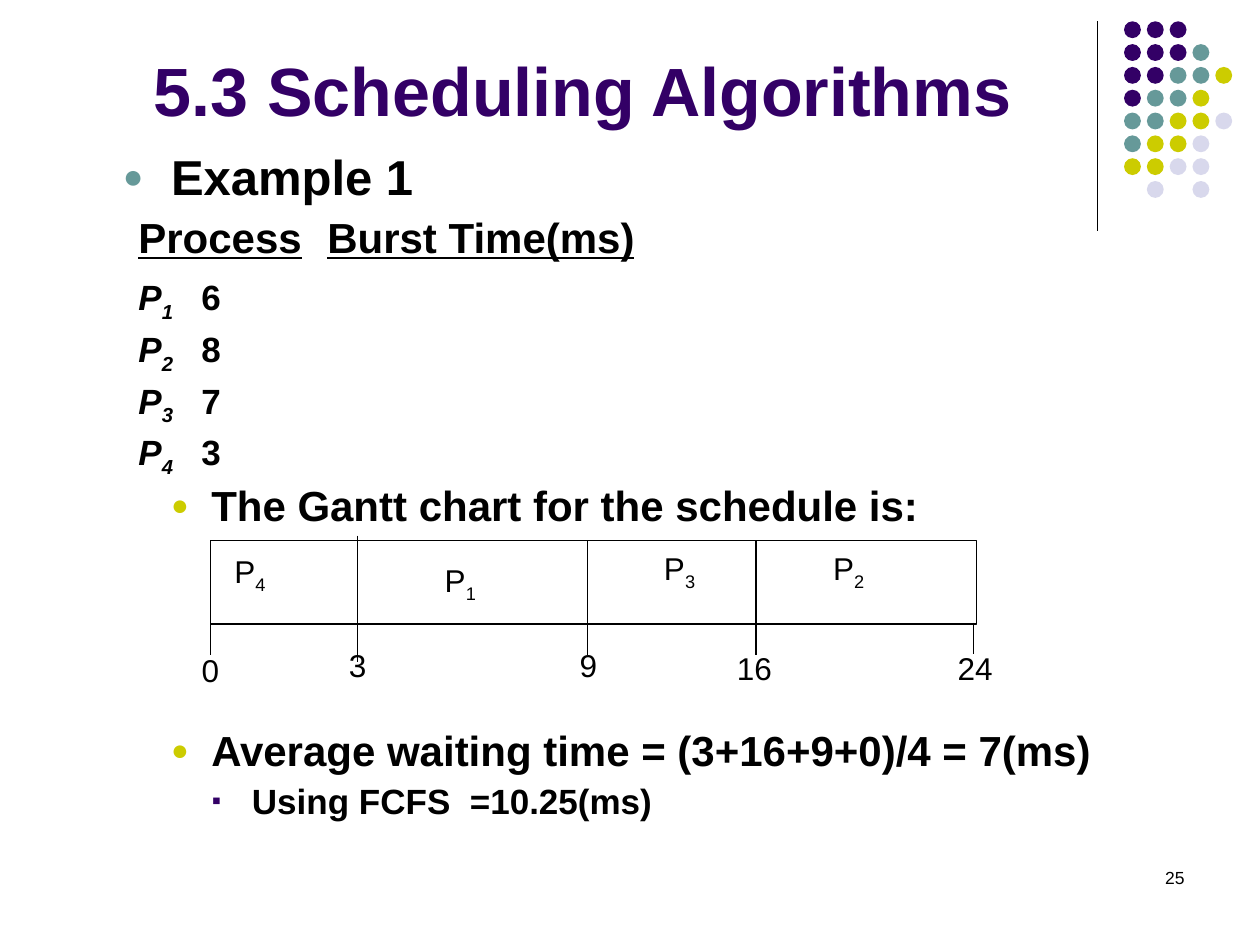
from lxml import etree
from pptx import Presentation
from pptx import util as u
from pptx.dml.color import RGBColor
from pptx.enum import shapes, text
from pptx.oxml.ns import qn

BLACK = RGBColor(0x00, 0x00, 0x00)
WHITE = RGBColor(0xFF, 0xFF, 0xFF)
PURPLE = RGBColor(0x33, 0x00, 0x66)
TEAL = RGBColor(0x66, 0x99, 0x99)
OLIVE = RGBColor(0xCC, 0xCC, 0x00)
LAVENDER = RGBColor(0xD8, 0xD8, 0xEC)

DOT_COLORS = {"P": PURPLE, "T": TEAL, "O": OLIVE, "L": LAVENDER}
DOT_ROWS = ["PPP", "PPPT", "PPTTO", "PTTO", "TTOOL", "TOOL", "OOLL", " L L"]


def add_text(para, words, size=18, color=BLACK, font="Arial", bold=False,
             italic=False, underline=False, subscript=False):
    span = para.add_run()
    span.text = words
    span.font.name = font
    span.font.size = u.Pt(size)
    span.font.color.rgb = color
    span.font.bold = bold
    span.font.italic = italic
    span.font.underline = underline
    if subscript:
        span.font._element.set("baseline", "-25000")


def add_property(para, tag, **attributes):
    return etree.SubElement(para._p.get_or_add_pPr(), qn(tag), attributes)


def set_indent(para, left, first):
    properties = para._p.get_or_add_pPr()
    properties.set("marL", str(u.Cm(left)))
    properties.set("indent", str(u.Cm(first)))


def set_bullet(para, char, color, percent):
    holder = add_property(para, "a:buClr")
    etree.SubElement(holder, qn("a:srgbClr"), val=str(color))
    add_property(para, "a:buSzPct", val=str(percent * 1000))
    add_property(para, "a:buFont", typeface="Arial")
    add_property(para, "a:buChar", char=char)


def set_tabs(para, *stops):
    tabs = add_property(para, "a:tabLst")
    for stop in stops:
        etree.SubElement(tabs, qn("a:tab"), pos=str(u.Cm(stop)), algn="l")


class PageBuilder:
    """Draws on one page; all lengths are in centimetres."""

    def __init__(self, page, line_color=BLACK, line_width=0.75):
        self.page = page
        self.line_color = line_color
        self.line_width = u.Pt(line_width)

    def shape(self, kind, left, top, width, height, fill, outlined=False):
        shape = self.page.shapes.add_shape(
            kind, u.Cm(left), u.Cm(top), u.Cm(width), u.Cm(height))
        shape.shadow.inherit = False
        shape.fill.solid()
        shape.fill.fore_color.rgb = fill
        if outlined:
            shape.line.color.rgb = self.line_color
            shape.line.width = self.line_width
        else:
            shape.line.fill.background()

    def vertical(self, x, top, bottom):
        line = self.page.shapes.add_connector(
            shapes.MSO_CONNECTOR.STRAIGHT, u.Cm(x), u.Cm(top), u.Cm(x), u.Cm(bottom))
        line.line.color.rgb = self.line_color
        line.line.width = self.line_width
        etree.SubElement(line._element.spPr, qn("a:effectLst"))

    def box(self, left, top, width, height, anchor=text.MSO_ANCHOR.TOP,
            align=text.PP_ALIGN.LEFT, wrap=True):
        """Return the frame of a new text box, its first paragraph aligned."""
        box = self.page.shapes.add_textbox(
            u.Cm(left), u.Cm(top), u.Cm(width), u.Cm(height))
        frame = box.text_frame
        frame.word_wrap = wrap
        frame.vertical_anchor = anchor
        frame.paragraphs[0].alignment = align
        return frame

    def label(self, left, top, width, height, words, subscript=""):
        frame = self.box(left, top, width, height, text.MSO_ANCHOR.MIDDLE,
                         text.PP_ALIGN.CENTER, wrap=False)
        frame.auto_size = text.MSO_AUTO_SIZE.SHAPE_TO_FIT_TEXT
        para = frame.paragraphs[0]
        add_text(para, words)
        if subscript:
            add_text(para, subscript, subscript=True)


def body_para(frame, before, level=0, first=False):
    para = frame.paragraphs[0] if first else frame.add_paragraph()
    para.level = level
    para.line_spacing = 0.9
    para.space_before = u.Pt(before)
    return para


def fill_body(frame):
    para = body_para(frame, 7, first=True)
    set_indent(para, 1.93, -0.97)
    set_bullet(para, "●", TEAL, 70)
    add_text(para, "Example 1", size=28, bold=True)

    para = body_para(frame, 6, level=1)
    set_indent(para, 0, 0)
    set_tabs(para, 3.11, 6.87)
    for heading in ("Process", "Burst Time(ms)"):
        add_text(para, "\t", size=24, bold=True)
        add_text(para, heading, size=24, bold=True, underline=True)

    bursts = [("1", "6", 5.28, 8), ("2", "8", 5.47, 5),
              ("3", "7", 5.47, 5), ("4", "3", 5.47, 5)]
    for number, burst, start, before in bursts:
        para = body_para(frame, before, level=1)
        set_indent(para, 0, 0)
        set_tabs(para, start, 7.82)
        add_text(para, "\tP", size=20, bold=True, italic=True)
        add_text(para, number, size=20, bold=True, italic=True, subscript=True)
        add_text(para, "\t" + burst, size=20, bold=True)

    # The large space before the second line leaves room for the Gantt chart.
    for words, before in (("The Gantt chart for the schedule is:", 6),
                          ("Average waiting time = (3+16+9+0)/4 = 7(ms)", 114)):
        para = body_para(frame, before, level=1)
        set_indent(para, 2.74, -0.81)
        set_bullet(para, "●", OLIVE, 70)
        add_text(para, words, size=24, bold=True)

    para = body_para(frame, 5, level=2)
    set_indent(para, 3.56, -0.81)
    set_bullet(para, "▪", PURPLE, 75)
    add_text(para, "Using FCFS  =10.25(ms)", size=20, bold=True)


def draw_dots(builder, left=22.66, top=0.43, pitch=0.46, size=0.34):
    for row, colors in enumerate(DOT_ROWS):
        for column, key in enumerate(colors):
            if key in DOT_COLORS:
                builder.shape(shapes.MSO_SHAPE.OVAL, left + column * pitch,
                              top + row * pitch, size, size, DOT_COLORS[key])


def draw_gantt(builder, top=10.9, bottom=12.58):
    builder.shape(shapes.MSO_SHAPE.RECTANGLE, 4.24, top, 15.44, bottom - top,
                  WHITE, outlined=True)
    for x in (11.85, 15.24):
        builder.vertical(x, top, bottom)
    builder.vertical(7.2, 10.8, 13.34)
    for x, start in ((4.24, bottom), (7.2, 12.27), (11.85, bottom),
                     (15.24, bottom), (19.63, 12.55)):
        builder.vertical(x, start, start + 0.63)
    for number, left, y in (("4", 4.47, 11), ("1", 8.71, 11.18),
                            ("3", 13.13, 10.95), ("2", 16.54, 10.95)):
        builder.label(left, y, 1.14, 1.12, "P", number)
    for time, left, y, width in (("0", 3.81, 13, 0.86), ("3", 6.78, 12.9, 0.86),
                                 ("9", 11.43, 12.9, 0.86), ("16", 14.6, 12.95, 1.22),
                                 ("24", 19.05, 12.95, 1.22)):
        builder.label(left, y, width, 1.02, time)


def main():
    deck = Presentation()
    deck.slide_width, deck.slide_height = u.Cm(25.4), u.Cm(19.05)
    builder = PageBuilder(deck.slides.add_slide(deck.slide_layouts[6]))

    builder.vertical(22.12, 0.43, 4.65)
    draw_dots(builder)
    number = builder.box(18.21, 17.35, 5.92, 1.27, align=text.PP_ALIGN.RIGHT)
    add_text(number.paragraphs[0], "25", size=10)
    title = builder.box(1.27, 0.33, 20.96, 2.41, text.MSO_ANCHOR.BOTTOM,
                        text.PP_ALIGN.CENTER)
    add_text(title.paragraphs[0], "5.3 Scheduling Algorithms", size=39,
             color=PURPLE, bold=True)
    fill_body(builder.box(1.27, 2.97, 22.86, 14.07))
    draw_gantt(builder)
    deck.save("out.pptx")


if __name__ == "__main__":
    main()
